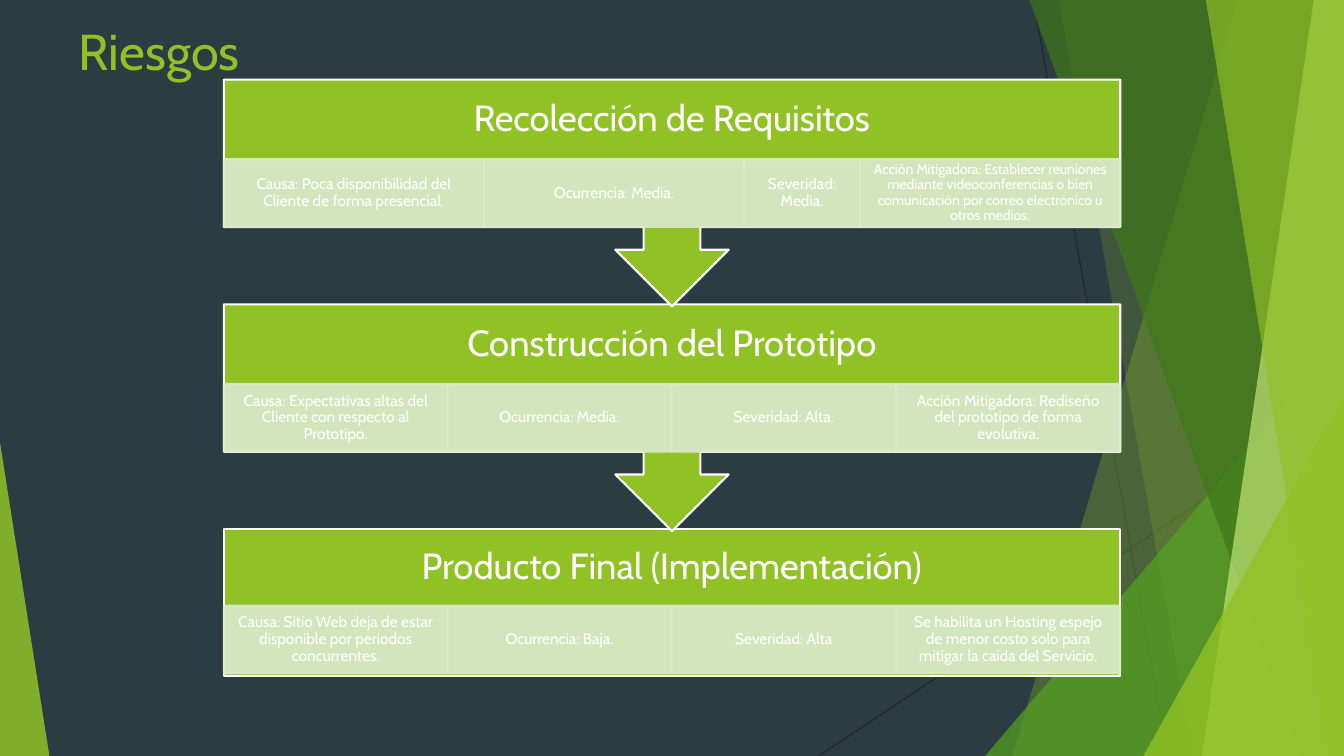
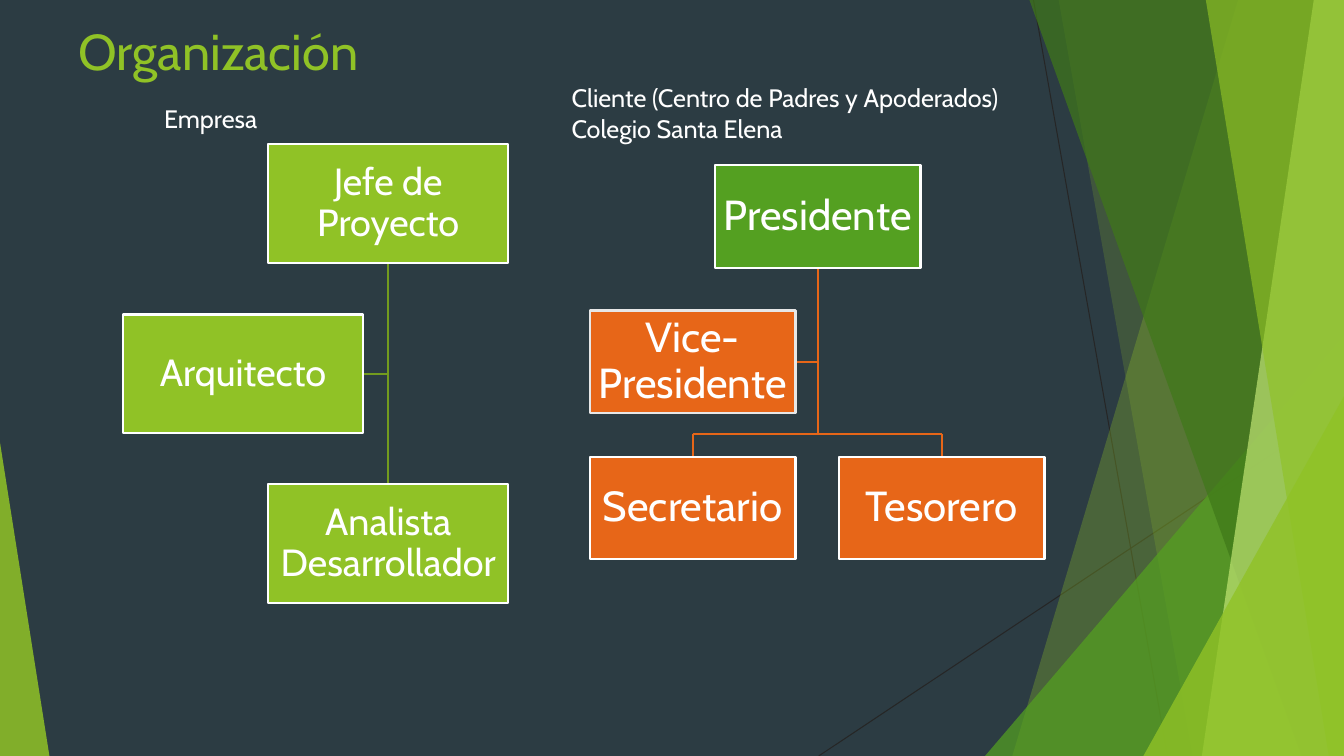
from dataclasses import dataclass
from itertools import accumulate
from typing import Optional

from lxml.etree import SubElement
from pptx import Presentation
from pptx.dml.color import RGBColor
from pptx.enum.shapes import MSO_CONNECTOR, MSO_SHAPE
from pptx.enum.text import MSO_ANCHOR, PP_ALIGN
from pptx.oxml.ns import qn
from pptx.presentation import Presentation as Deck
from pptx.shapes.autoshape import Shape
from pptx.shapes.connector import Connector
from pptx.slide import Slide
from pptx.text.text import TextFrame
from pptx.util import Pt

PX = 9144
PAGE_WIDTH, PAGE_HEIGHT = 1333, 750
FONT = "Cabin"

SLATE = RGBColor(0x2C, 0x3C, 0x43)
INK = RGBColor(0x26, 0x26, 0x26)
WHITE = RGBColor(0xFF, 0xFF, 0xFF)
SILVER = RGBColor(0xE7, 0xE7, 0xE7)
LIME = RGBColor(0x90, 0xC2, 0x26)
PALE_LIME = RGBColor(0xC0, 0xE4, 0x74)
OLIVE = RGBColor(0x73, 0x9B, 0x1E)
GREEN = RGBColor(0x54, 0xA0, 0x21)
DARK_GREEN = RGBColor(0x3F, 0x78, 0x19)
MIST = RGBColor(0xDB, 0xE9, 0xCD)
ORANGE = RGBColor(0xE7, 0x66, 0x18)

TOP, LEFT, BOTTOM, RIGHT = range(4)
Point = tuple[int, int]
Joint = tuple[Shape, int]


@dataclass(frozen=True)
class Area:
    left: int
    top: int
    width: int
    height: int

    def emu(self) -> tuple[int, int, int, int]:
        return self.left * PX, self.top * PX, self.width * PX, self.height * PX


@dataclass(frozen=True)
class Insets:
    side: int = 2
    top: int = 2
    bottom: int = 2


@dataclass(frozen=True)
class Shard:
    points: tuple[Point, ...]
    colour: RGBColor
    opacity: int


@dataclass(frozen=True)
class Wedge:
    area: Area
    apex: float
    colour: RGBColor
    opacity: int


@dataclass(frozen=True)
class Cell:
    text: str
    size: int = 11
    weight: int = 258


@dataclass(frozen=True)
class Risk:
    top: int
    height: int
    header: int
    shape: MSO_SHAPE
    name: str
    cells: tuple[Cell, ...]


@dataclass(frozen=True)
class Role:
    name: str
    left: int
    top: int
    fill: RGBColor
    outline: RGBColor = WHITE


RISK_LEFT, RISK_WIDTH, RISK_BODY, CELL_HEIGHT = 222, 889, 146, 67

BACKDROP_LINES = (((1025, 0), (1158, 750)), ((1333, 403), (812, 750)))

BACKDROP = (
    Shard(((1228, 0), (1333, 0), (1333, 750), (1004, 750)), LIME, 30),
    Shard(((1050, 0), (1333, 0), (1333, 750), (1183, 750)), LIME, 20),
    Wedge(Area(977, 333, 356, 417), 1, GREEN, 72),
    Shard(((1021, 0), (1333, 0), (1333, 750), (1291, 750)), DARK_GREEN, 70),
    Shard(((1303, 0), (1333, 0), (1333, 750), (1192, 750)), PALE_LIME, 70),
    Shard(((1196, 0), (1333, 0), (1333, 750), (1318, 750)), LIME, 65),
    Wedge(Area(1134, 393, 199, 357), 1, LIME, 80),
    Wedge(Area(0, 439, 49, 311), 0, LIME, 85),
)

RISKS = (
    Risk(525, RISK_BODY, 76, MSO_SHAPE.RECTANGLE, "Producto Final (Implementación)", (
        Cell("Causa: Sitio Web deja de estar disponible por periodos concurrentes."),
        Cell("Ocurrencia: Baja."),
        Cell("Severidad: Alta"),
        Cell("Se habilita un Hosting espejo de menor costo solo para mitigar la caída del Servicio."),
    )),
    Risk(302, 225, 79, MSO_SHAPE.DOWN_ARROW_CALLOUT, "Construcción del Prototipo", (
        Cell("Causa: Expectativas altas del Cliente con respecto al Prototipo."),
        Cell("Ocurrencia: Media."),
        Cell("Severidad: Alta."),
        Cell("Acción Mitigadora: Rediseño del prototipo de forma evolutiva."),
    )),
    Risk(79, 225, 79, MSO_SHAPE.DOWN_ARROW_CALLOUT, "Recolección de Requisitos", (
        Cell("Causa: Poca disponibilidad del Cliente de forma presencial."),
        Cell("Ocurrencia: Media."),
        Cell("Severidad: Media.", weight=115),
        Cell("Acción Mitigadora: Establecer reuniones mediante videoconferencias o bien "
             "comunicación por correo electrónico u otros medios.", size=10),
    )),
)

COMPANY = (
    Role("Jefe de Proyecto", 266, 143, LIME),
    Role("Analista Desarrollador", 266, 480, LIME),
    Role("Arquitecto", 122, 312, LIME),
)

CLIENT = (
    Role("Presidente", 709, 164, GREEN),
    Role("Secretario", 585, 453, ORANGE),
    Role("Tesorero", 832, 453, ORANGE),
    Role("Vice-Presidente", 585, 308, ORANGE, SILVER),
)


def write(frame: TextFrame, lines: tuple[str, ...], size: int, colour: RGBColor,
          align: PP_ALIGN = PP_ALIGN.LEFT, spacing: float = 1.0) -> None:
    frame.word_wrap = True
    frame.text = "\n".join(lines)
    for para in frame.paragraphs:
        para.alignment = align
        para.line_spacing = spacing
        para.font.name = FONT
        para.font.size = Pt(size)
        para.font.color.rgb = colour


def set_opacity(shape: Shape, percent: int) -> None:
    for colour in shape.element.iter(qn("a:srgbClr")):
        SubElement(colour, qn("a:alpha")).set("val", str(percent * 1000))


def paint(shape: Shape, fill: RGBColor, outline: Optional[RGBColor] = None,
          opacity: int = 100) -> None:
    shape.shadow.inherit = False
    shape.fill.solid()
    shape.fill.fore_color.rgb = fill
    if outline is None:
        shape.line.fill.background()
    else:
        shape.line.color.rgb = outline
        shape.line.width = Pt(1.5)
    if opacity < 100:
        set_opacity(shape, opacity)


def add_box(page: Slide, kind: MSO_SHAPE, area: Area, text: str, size: int, fill: RGBColor,
            outline: RGBColor, insets: Insets = Insets(), opacity: int = 100) -> Shape:
    box = page.shapes.add_shape(kind, *area.emu())
    paint(box, fill, outline, opacity)
    frame = box.text_frame
    frame.margin_left = frame.margin_right = insets.side * PX
    frame.margin_top, frame.margin_bottom = insets.top * PX, insets.bottom * PX
    frame.vertical_anchor = MSO_ANCHOR.MIDDLE
    write(frame, (text,), size, WHITE, PP_ALIGN.CENTER, 0.9)
    return box


def add_line(page: Slide, start: Point, end: Point, colour: RGBColor, width: float = 1.5,
             start_at: Optional[Joint] = None, end_at: Optional[Joint] = None) -> Connector:
    line = page.shapes.add_connector(
        MSO_CONNECTOR.STRAIGHT, *(value * PX for value in (*start, *end)))
    line.line.color.rgb = colour
    line.line.width = Pt(width)
    SubElement(line.element.spPr, qn("a:effectLst"))
    if start_at:
        line.begin_connect(*start_at)
    if end_at:
        line.end_connect(*end_at)
    page.shapes.element.insert(2, line.element)
    return line


def add_label(page: Slide, area: Area, *lines: str) -> None:
    label = page.shapes.add_textbox(*area.emu())
    write(label.text_frame, lines, 18, WHITE)


def add_backdrop_piece(page: Slide, piece: Shard | Wedge) -> Shape:
    if isinstance(piece, Wedge):
        shape = page.shapes.add_shape(MSO_SHAPE.ISOSCELES_TRIANGLE, *piece.area.emu())
        shape.adjustments[0] = piece.apex
    else:
        builder = page.shapes.build_freeform(*piece.points[0], scale=PX)
        builder.add_line_segments(piece.points[1:], close=True)
        shape = builder.convert_to_shape()
    paint(shape, piece.colour, opacity=piece.opacity)
    return shape


def add_backdrop(deck: Deck, page: Slide) -> None:
    master = deck.slide_master
    master.background.fill.solid()
    master.background.fill.fore_color.rgb = SLATE
    drawn = [add_line(page, start, end, INK, 0.75) for start, end in BACKDROP_LINES]
    drawn += [add_backdrop_piece(page, piece) for piece in BACKDROP]
    for position, shape in enumerate(drawn, 2):
        master.shapes.element.insert(position, shape.element)


def add_page(deck: Deck, title: str) -> Slide:
    page = deck.slides.add_slide(deck.slide_layouts[5])
    heading = page.shapes.title
    heading.left, heading.top, heading.width, heading.height = Area(68, 15, 940, 91).emu()
    heading.text_frame.vertical_anchor = MSO_ANCHOR.TOP
    write(heading.text_frame, (title,), 36, LIME)
    return page


def add_risk(page: Slide, risk: Risk) -> None:
    add_box(page, risk.shape, Area(RISK_LEFT, risk.top, RISK_WIDTH, risk.height), risk.name,
            26, LIME, WHITE, Insets(side=20, top=0, bottom=RISK_BODY - risk.header))
    weights = [cell.weight for cell in risk.cells]
    edges = [RISK_LEFT + round(RISK_WIDTH * reached / sum(weights))
             for reached in accumulate(weights, initial=0)]
    for cell, left, right in zip(risk.cells, edges, edges[1:]):
        area = Area(left, risk.top + risk.header, right - left, CELL_HEIGHT)
        add_box(page, MSO_SHAPE.RECTANGLE, area, cell.text, cell.size, MIST, MIST,
                Insets(side=9), opacity=90)


def add_roles(page: Slide, roles: tuple[Role, ...], width: int, height: int,
              size: int) -> list[Shape]:
    return [add_box(page, MSO_SHAPE.RECTANGLE, Area(role.left, role.top, width, height),
                    role.name, size, role.fill, role.outline) for role in roles]


def add_company(page: Slide) -> None:
    chief, analyst, architect = add_roles(page, COMPANY, 238, 118, 27)
    add_line(page, (385, 261), (385, 480), OLIVE,
             start_at=(chief, BOTTOM), end_at=(analyst, TOP))
    add_line(page, (385, 371), (360, 371), OLIVE, end_at=(architect, RIGHT))
    add_label(page, Area(153, 98, 116, 40), "Empresa")


def add_client(page: Slide) -> None:
    president, secretary, treasurer, deputy = add_roles(page, CLIENT, 204, 102, 30)
    trunk, bus = 811, 431
    add_line(page, (trunk, 266), (trunk, bus), ORANGE, start_at=(president, BOTTOM))
    add_line(page, (trunk, 359), (789, 359), ORANGE, end_at=(deputy, RIGHT))
    add_line(page, (687, bus), (934, bus), ORANGE)
    for centre, member in ((687, secretary), (934, treasurer)):
        add_line(page, (centre, bus), (centre, 453), ORANGE, end_at=(member, TOP))
    add_label(page, Area(557, 77, 478, 71),
              "Cliente (Centro de Padres y Apoderados)", "Colegio Santa Elena")


def main() -> None:
    deck = Presentation()
    deck.slide_width, deck.slide_height = PAGE_WIDTH * PX, PAGE_HEIGHT * PX
    risks_page = add_page(deck, "Riesgos")
    add_backdrop(deck, risks_page)
    for risk in RISKS:
        add_risk(risks_page, risk)
    organisation_page = add_page(deck, "Organización")
    add_company(organisation_page)
    add_client(organisation_page)
    deck.save("out.pptx")


if __name__ == "__main__":
    main()
